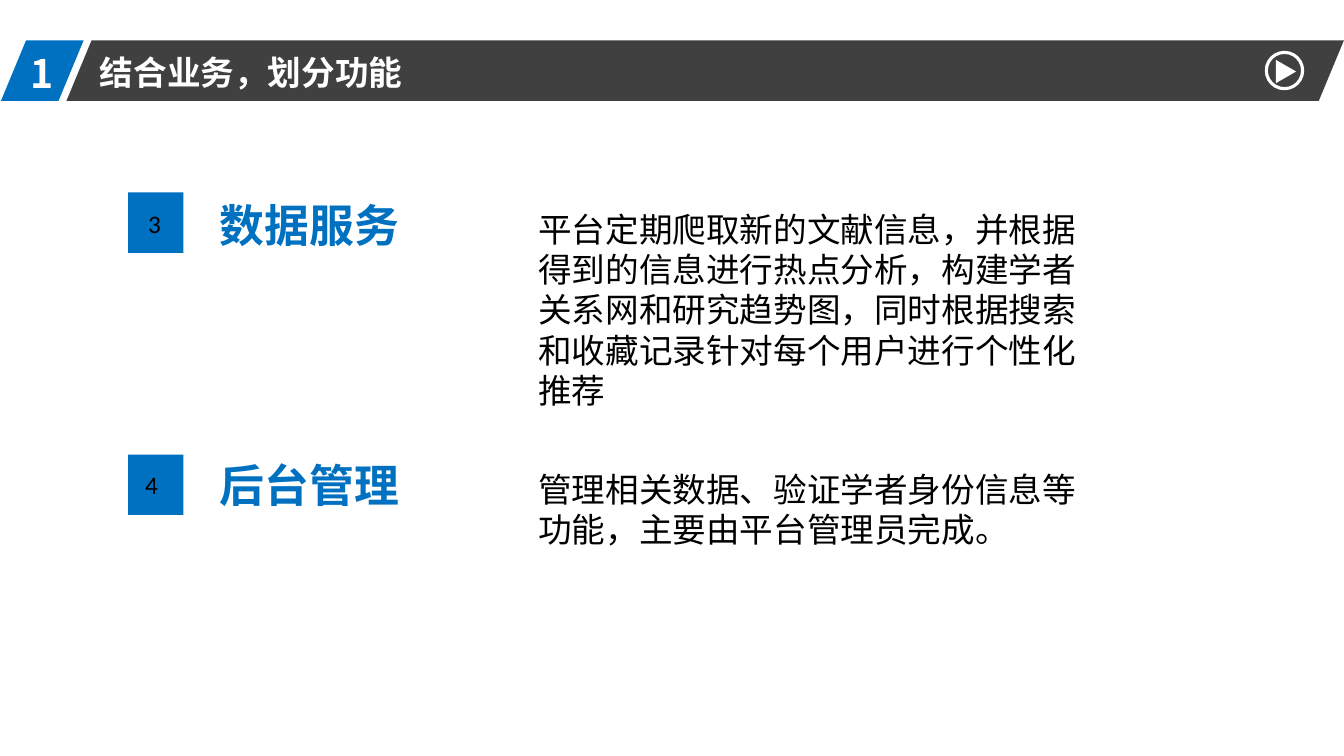
from dataclasses import dataclass

from lxml.etree import SubElement
from pptx import Presentation
from pptx.dml.color import RGBColor
from pptx.enum.shapes import MSO_SHAPE
from pptx.enum.text import MSO_ANCHOR, MSO_AUTO_SIZE, PP_ALIGN
from pptx.oxml.ns import qn
from pptx.shapes.autoshape import Shape
from pptx.slide import Slide
from pptx.util import Pt

PX = 9144  # 100 px to the inch
BLUE = RGBColor(0x00, 0x70, 0xC0)
DARK = RGBColor(0x40, 0x40, 0x40)
WHITE = RGBColor(0xFF, 0xFF, 0xFF)
BLACK = RGBColor(0x00, 0x00, 0x00)
CJK = "Noto Sans CJK SC"
LATIN = "Calibri"
SLANT = 0.415

Box = tuple[int, int, int, int]


@dataclass(frozen=True)
class Feature:
    number: str
    name: str
    detail: str
    badge_top: int
    number_box: Box
    name_top: int
    detail_top: int
    detail_height: int


FEATURES = [
    Feature("3", "数据服务",
            "平台定期爬取新的文献信息，并根据得到的信息进行热点分析，构建学者关系网和研究趋势图，"
            "同时根据搜索和收藏记录针对每个用户进行个性化推荐",
            191, (137, 202, 41, 40), 191, 202, 212),
    Feature("4", "后台管理",
            "管理相关数据、验证学者身份信息等功能，主要由平台管理员完成。",
            451, (134, 461, 41, 40), 449, 460, 91),
]


def emu(box: Box) -> list[int]:
    return [v * PX for v in box]


def add_shape(s: Slide, kind: MSO_SHAPE, box: Box, fill: RGBColor | None = None,
              line: RGBColor | None = None, adj: float | None = None,
              rotation: int = 0) -> Shape:
    sp = s.shapes.add_shape(kind, *emu(box))
    sp.shadow.inherit = False
    sp.rotation = rotation
    if adj is not None:
        sp.adjustments[0] = adj
    if fill is None:
        sp.fill.background()
    else:
        sp.fill.solid()
        sp.fill.fore_color.rgb = fill
    if line is None:
        sp.line.fill.background()
    else:
        sp.line.color.rgb = line
        sp.line.width = Pt(2.25)
    return sp


def set_text(sp: Shape, text: str, size: int, color: RGBColor,
             font: str = CJK, bold: bool = False) -> None:
    tf = sp.text_frame
    tf.word_wrap = True
    tf.auto_size = MSO_AUTO_SIZE.NONE
    tf.vertical_anchor = MSO_ANCHOR.TOP
    p = tf.paragraphs[0]
    p.alignment = PP_ALIGN.LEFT
    r = p.add_run()
    r.text = text
    r.font.size = Pt(size)
    r.font.bold = bold
    r.font.color.rgb = color
    r.font.name = font
    SubElement(r.font._element, qn("a:ea"), typeface=CJK)


def add_text(s: Slide, box: Box, text: str, size: int, color: RGBColor,
             font: str = CJK, bold: bool = False) -> None:
    set_text(s.shapes.add_textbox(*emu(box)), text, size, color, font, bold)


def add_header(s: Slide) -> None:
    # Slanted bar and section number
    add_shape(s, MSO_SHAPE.PARALLELOGRAM, (66, 40, 1267, 60), DARK, adj=SLANT)
    add_shape(s, MSO_SHAPE.PARALLELOGRAM, (1, 40, 82, 60), BLUE, adj=SLANT)
    add_text(s, (20, 44, 69, 57), "1", 28, WHITE, bold=True)

    # Title, brought in front of the bar
    title = s.shapes.title
    title.left, title.top, title.width, title.height = emu((89, 46, 634, 91))
    set_text(title, "结合业务，划分功能", 24, WHITE, bold=True)
    title.element.getparent().append(title.element)

    # Play button
    add_shape(s, MSO_SHAPE.OVAL, (1256, 52, 36, 36), line=WHITE)
    add_shape(s, MSO_SHAPE.ISOSCELES_TRIANGLE, (1264, 61, 23, 20), WHITE, rotation=90)


def add_feature(s: Slide, f: Feature) -> None:
    add_text(s, (208, f.name_top, 283, 64), f.name, 32, BLUE, bold=True)
    add_shape(s, MSO_SHAPE.RECTANGLE, (127, f.badge_top, 55, 60), BLUE)
    add_text(s, f.number_box, f.number, 18, BLACK, font=LATIN)
    add_text(s, (524, f.detail_top, 576, f.detail_height), f.detail, 24, BLACK, font=LATIN)


def main() -> None:
    prs = Presentation()
    prs.slide_width, prs.slide_height = 1333 * PX, 750 * PX
    s = prs.slides.add_slide(prs.slide_layouts.get_by_name("Title Only"))
    add_header(s)
    for feature in FEATURES:
        add_feature(s, feature)
    prs.save("out.pptx")


if __name__ == "__main__":
    main()
